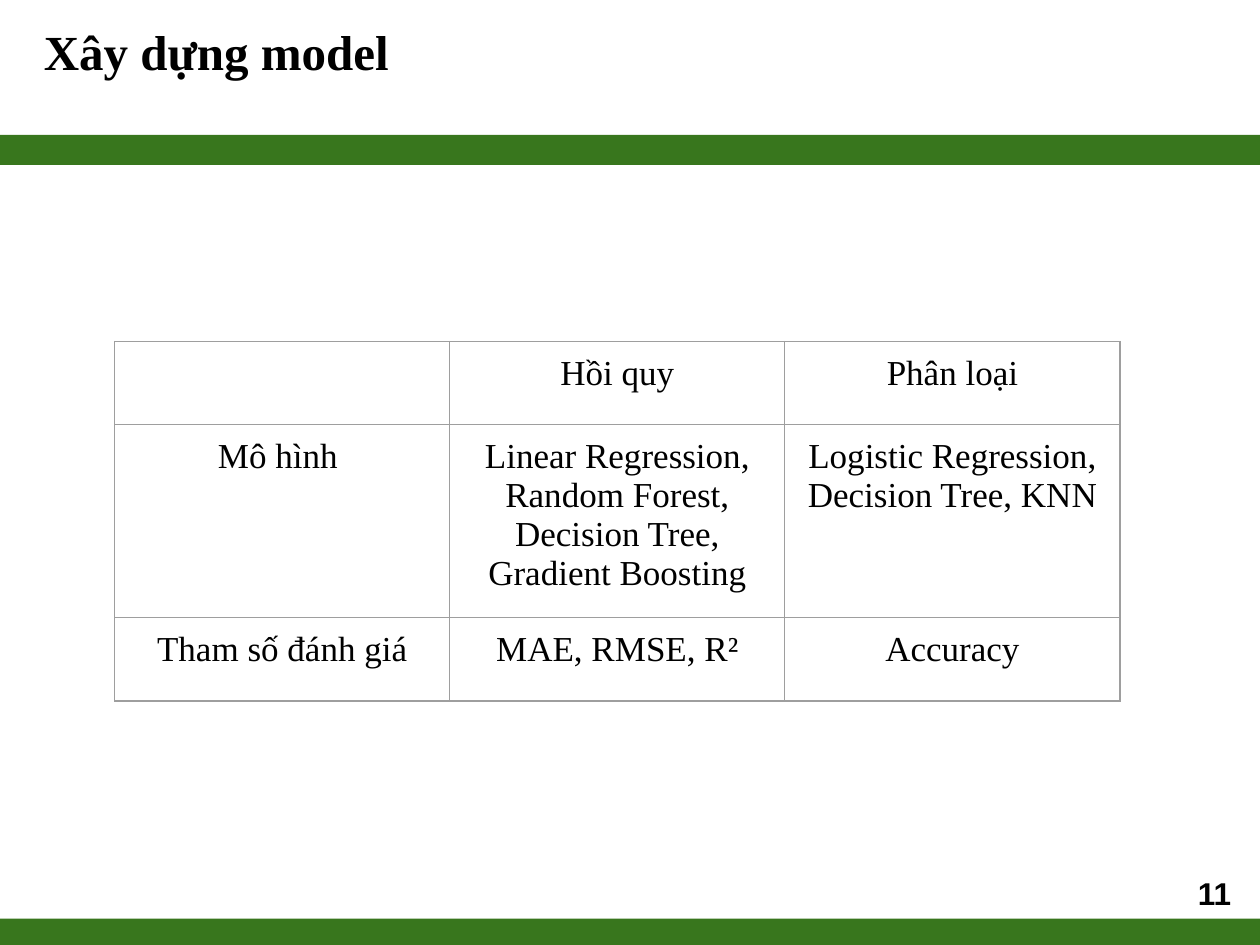
from lxml import etree
from pptx import Presentation
from pptx.dml.color import RGBColor
from pptx.enum.shapes import MSO_SHAPE
from pptx.enum.text import MSO_ANCHOR, PP_ALIGN
from pptx.oxml.ns import qn
from pptx.util import Inches, Pt

RECT = MSO_SHAPE.RECTANGLE
TOP, MIDDLE = MSO_ANCHOR.TOP, MSO_ANCHOR.MIDDLE
LEFT, CENTER, RIGHT = PP_ALIGN.LEFT, PP_ALIGN.CENTER, PP_ALIGN.RIGHT

GREEN = RGBColor(0x38, 0x76, 0x1D)
BLACK = RGBColor(0, 0, 0)
GREY = RGBColor(0x9E, 0x9E, 0x9E)
SERIF, SANS = "Times New Roman", "Arial"
INSET = Inches(0.1)

ROWS = [
    ["", "Hồi quy", "Phân loại"],
    ["Mô hình ",
     "Linear Regression, Random Forest, Decision Tree, Gradient Boosting",
     "Logistic Regression, Decision Tree, KNN"],
    ["Tham số đánh giá", "MAE, RMSE, R²", "Accuracy"],
]
HEIGHTS = [0.66, 1.43, 0.66]
COL_WIDTH = 2.66


def add_band(slide, top, height):
    band = slide.shapes.add_shape(
        RECT, 0, Inches(top), Inches(10), Inches(height))
    band.shadow.inherit = False
    band.fill.solid()
    band.fill.fore_color.rgb = GREEN
    band.line.fill.background()


def set_inset(item):
    item.margin_left = item.margin_right = INSET
    item.margin_top = item.margin_bottom = INSET


def write(frame, text, size, face, align, bold=False):
    para = frame.paragraphs[0]
    para.alignment = align
    run = para.add_run()
    run.text = text
    font = run.font
    font.size, font.name, font.bold = Pt(size), face, bold
    font.color.rgb = BLACK


def add_label(slide, box, text, size, face, align, anchor):
    label = slide.shapes.add_textbox(*[Inches(n) for n in box])
    frame = label.text_frame
    frame.word_wrap = True
    frame.vertical_anchor = anchor
    set_inset(frame)
    write(frame, text, size, face, align, bold=True)


def set_border(cell):
    props = cell._tc.get_or_add_tcPr()
    for place, side in enumerate(("a:lnL", "a:lnR", "a:lnT", "a:lnB")):
        line = etree.Element(qn(side), w=str(Pt(0.75)))
        fill = etree.SubElement(line, qn("a:solidFill"))
        etree.SubElement(fill, qn("a:srgbClr"), val=str(GREY))
        props.insert(place, line)


def add_grid(slide, left, top):
    count = len(ROWS[0])
    table = slide.shapes.add_table(
        len(ROWS), count, Inches(left), Inches(top),
        Inches(COL_WIDTH * count), Inches(sum(HEIGHTS))).table
    table.first_row = table.horz_banding = False
    for col in table.columns:
        col.width = Inches(COL_WIDTH)
    for row, height, texts in zip(table.rows, HEIGHTS, ROWS):
        row.height = Inches(height)
        for cell, text in zip(row.cells, texts):
            cell.fill.background()
            set_border(cell)
            set_inset(cell)
            if text:
                write(cell.text_frame, text, 20, SERIF, CENTER)


def main():
    deck = Presentation()
    deck.slide_width, deck.slide_height = Inches(10), Inches(7.5)
    slide = deck.slides.add_slide(deck.slide_layouts[6])

    # Green bands
    add_band(slide, 7.29, 0.24)
    add_band(slide, 1.07, 0.24)

    # Title and page number
    add_label(slide, (0.25, 0.07, 9.32, 0.83), "Xây dựng model",
              28, SERIF, LEFT, TOP)
    add_label(slide, (9.27, 6.8, 0.6, 0.57), "11", 18, SANS, RIGHT, MIDDLE)

    # Models and metrics
    add_grid(slide, 0.91, 2.71)

    deck.save("out.pptx")


if __name__ == "__main__":
    main()
